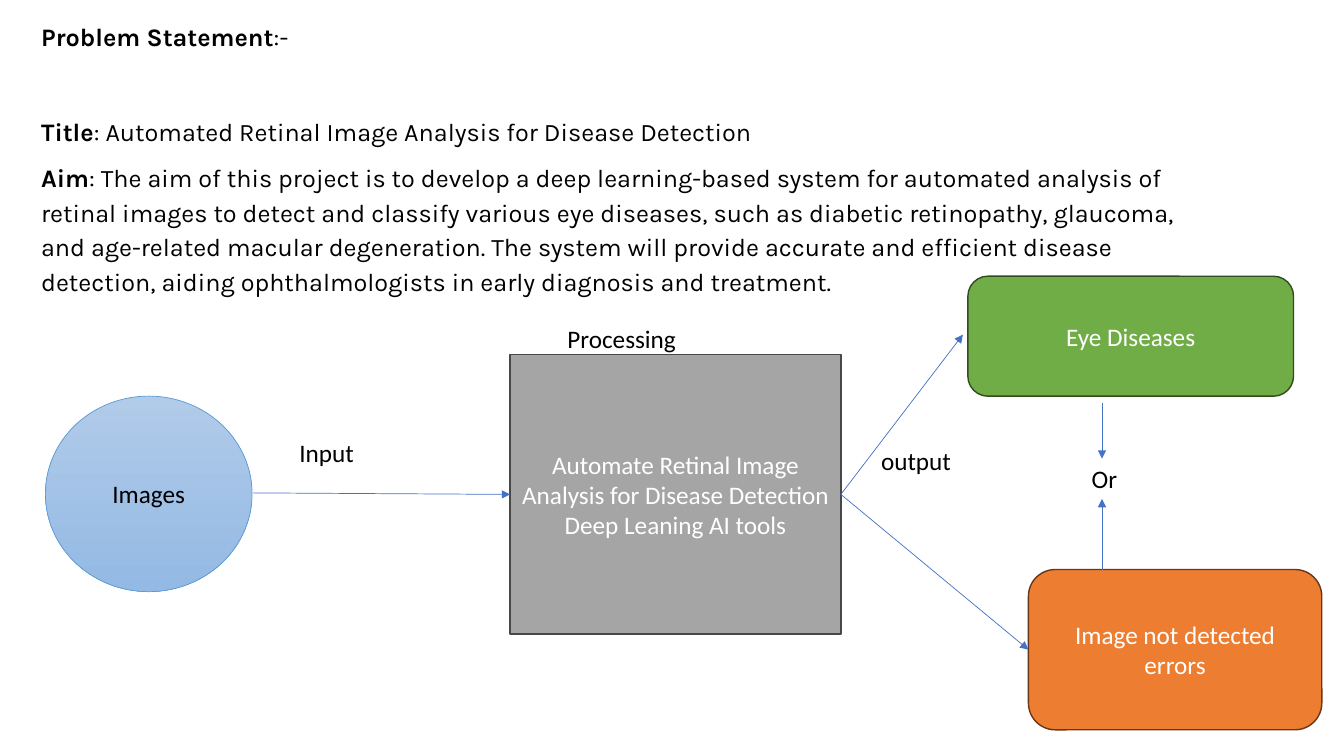
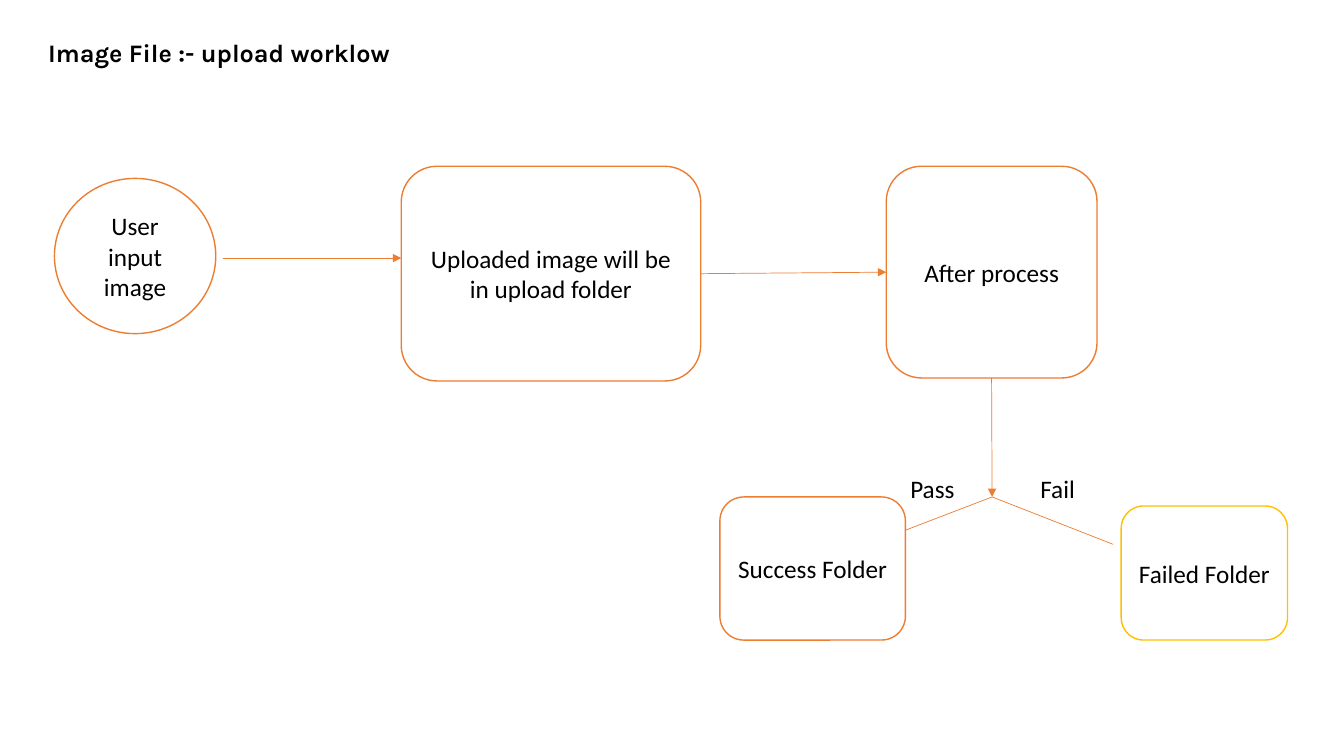
from dataclasses import dataclass

from lxml import etree
from pptx import Presentation
from pptx.dml.color import RGBColor
from pptx.enum.shapes import MSO_CONNECTOR, MSO_SHAPE
from pptx.enum.text import PP_ALIGN
from pptx.oxml.ns import qn
from pptx.util import Pt

PX = 9144
OVAL, RECT, ROUND = MSO_SHAPE.OVAL, MSO_SHAPE.RECTANGLE, MSO_SHAPE.ROUNDED_RECTANGLE
STRAIGHT = MSO_CONNECTOR.STRAIGHT
LEFT, CENTER = PP_ALIGN.LEFT, PP_ALIGN.CENTER
LEFT_SIDE, BOTTOM, RIGHT_SIDE = 1, 2, 3


@dataclass(frozen=True)
class Theme:
    """Colours, fonts and sizes shared by both slides."""
    ink: str = "000000"
    white: str = "FFFFFF"
    gray: str = "A5A5A5"
    gray_edge: str = "484848"
    green: str = "70AD47"
    green_edge: str = "314C1F"
    orange: str = "ED7D31"
    rust: str = "683715"
    gold: str = "FFC000"
    blue: str = "4472C4"
    sky: str = "5B9BD5"
    sky_top: str = "B1CBE9"
    sky_low: str = "93B9E4"
    head: str = "Karla"
    body: str = "Calibri"
    size: int = 18
    edge: float = 1
    thin: float = 0.5


THEME = Theme()


def rgb(code):
    """Turn a hex code into a colour."""
    return RGBColor.from_string(code)


def emu(values):
    """Scale px lengths to EMU."""
    return [value * PX for value in values]


def style(para, face, color, align):
    """Set the font and alignment of a paragraph."""
    para.alignment = align
    para.font.name = face
    para.font.size = Pt(THEME.size)
    para.font.color.rgb = rgb(color)


def fill_text(frame, lines, face, color, align):
    """Write lines, each a string or a bold lead with a plain rest."""
    frame.word_wrap = True
    for i, line in enumerate(lines):
        para = frame.add_paragraph() if i else frame.paragraphs[0]
        style(para, face, color, align)
        if isinstance(line, str):
            para.text = line
            continue
        for part, bold in zip(line, (True, False)):
            run = para.add_run()
            run.text = part
            run.font.bold = bold


def add_text(slide, area, lines, face=THEME.body):
    """Add a left-aligned text box and return its paragraphs."""
    frame = slide.shapes.add_textbox(*emu(area)).text_frame
    fill_text(frame, lines, face, THEME.ink, LEFT)
    return frame.paragraphs


def add_node(slide, kind, area, lines, edge, fill=THEME.white, color=THEME.ink):
    """Add an outlined shape with centred text."""
    node = slide.shapes.add_shape(kind, *emu(area))
    node.shadow.inherit = False
    node.fill.solid()
    node.fill.fore_color.rgb = rgb(fill)
    node.line.color.rgb = rgb(edge)
    node.line.width = Pt(THEME.edge)
    fill_text(node.text_frame, lines, THEME.body, color, CENTER)
    return node


def shade(node, colors):
    """Give a node a downward gradient and a thin outline."""
    node.fill.gradient()
    node.fill.gradient_angle = 270
    for stop, color, place in zip(node.fill.gradient_stops, colors, (0, 1)):
        stop.color.rgb = rgb(color)
        stop.position = place
    node.line.width = Pt(THEME.thin)


def add_link(slide, start, end, color, arrow=True):
    """Join two ends, each a point or a node with its side."""
    points = [emu(p) if isinstance(p[0], int) else (0, 0) for p in (start, end)]
    link = slide.shapes.add_connector(STRAIGHT, *points[0], *points[1])
    if not isinstance(start[0], int):
        link.begin_connect(*start)
    if not isinstance(end[0], int):
        link.end_connect(*end)
    link.line.color.rgb = rgb(color)
    link.line.width = Pt(THEME.thin)
    if arrow:
        tail = etree.SubElement(link.line._get_or_add_ln(), qn("a:tailEnd"))
        tail.set("type", "triangle")
    etree.SubElement(link._element.spPr, qn("a:effectLst"))


def add_problem(slide):
    """Build the problem statement slide."""
    add_text(slide, (31, 16, 1272, 131), [("Problem Statement", ":-")], THEME.head)
    notes = [
        ("Title", ": Automated Retinal Image Analysis for Disease Detection"),
        ("Aim", ": The aim of this project is to develop a deep learning-based system "
         "for automated analysis of retinal images to detect and classify various eye "
         "diseases, such as diabetic retinopathy, glaucoma, and age-related macular "
         "degeneration. The system will provide accurate and efficient disease "
         "detection, aiding ophthalmologists in early diagnosis and treatment."),
    ]
    for para in add_text(slide, (31, 106, 1166, 237), notes, THEME.head):
        para.line_spacing = 1.15
        para.space_after = Pt(8)

    tools = add_node(slide, RECT, (506, 352, 328, 277),
                     ["Automate Retinal Image Analysis for Disease Detection",
                      "Deep Leaning AI tools"],
                     THEME.gray_edge, THEME.gray, THEME.white)
    images = add_node(slide, OVAL, (45, 393, 205, 194), ["Images"], THEME.sky)
    shade(images, (THEME.sky_top, THEME.sky_low))
    add_node(slide, ROUND, (960, 274, 323, 119), ["Eye Diseases"],
             THEME.green_edge, THEME.green, THEME.white)
    errors = add_node(slide, ROUND, (1020, 565, 291, 159),
                      ["Image not detected errors"],
                      THEME.rust, THEME.orange, THEME.white)

    for start, end in (
        ((251, 489), (tools, LEFT_SIDE)),
        ((tools, RIGHT_SIDE), (955, 332)),
        ((tools, RIGHT_SIDE), (errors, LEFT_SIDE)),
        ((1093, 400), (1093, 455)),
        ((1093, 565), (1093, 495)),
    ):
        add_link(slide, start, end, THEME.blue)

    for label, x, y, width in (
        ("Or", 1073, 455, 157),
        ("Input", 287, 429, 139),
        ("output", 864, 437, 120),
        ("Processing", 553, 316, 253),
    ):
        add_text(slide, (x, y, width, 40), [label])


def add_upload(slide):
    """Build the upload workflow slide."""
    add_text(slide, (38, 32, 1258, 101), [("Image File :- upload worklow",)], THEME.head)
    add_node(slide, OVAL, (54, 177, 160, 154), ["User input image"], THEME.orange)
    upload = add_node(slide, ROUND, (398, 165, 297, 213),
                      ["Uploaded image will be in upload folder"], THEME.orange)
    after = add_node(slide, ROUND, (879, 165, 209, 210), ["After process"], THEME.orange)
    add_node(slide, ROUND, (714, 493, 184, 142), ["Success Folder"], THEME.orange)
    add_node(slide, ROUND, (1112, 502, 165, 133), ["Failed Folder"], THEME.gold)

    fork = (984, 493)
    for start, end, arrow in (
        ((221, 256), (398, 256), True),
        ((upload, RIGHT_SIDE), (after, LEFT_SIDE), True),
        ((after, BOTTOM), fork, True),
        (fork, (898, 526), False),
        (fork, (1104, 540), False),
    ):
        add_link(slide, start, end, THEME.orange, arrow)

    for label, x, width in (("Pass", 893, 65), ("Fail", 1022, 60)):
        add_text(slide, (x, 465, width, 40), [label])


def main():
    """Build and save the deck."""
    deck = Presentation()
    deck.slide_width, deck.slide_height = emu((1333, 750))
    for build in (add_problem, add_upload):
        build(deck.slides.add_slide(deck.slide_layouts[6]))
    deck.save("out.pptx")


if __name__ == "__main__":
    main()
